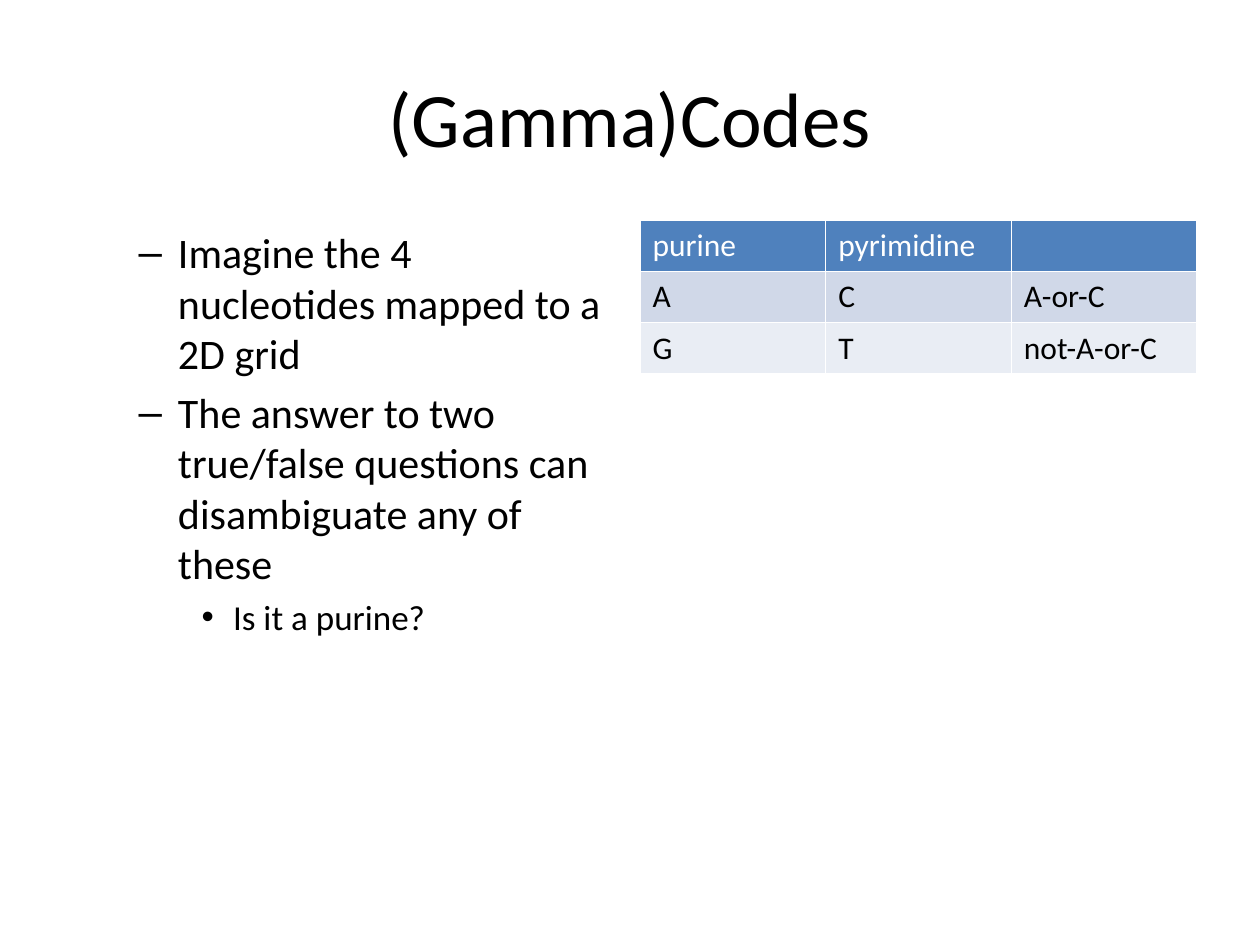
"""Build the (Gamma)Codes slide: a bulleted list beside a nucleotide table."""
import pptx
import pptx.dml.color
import pptx.enum.text
import pptx.util

BLACK = pptx.dml.color.RGBColor(0x00, 0x00, 0x00)
WHITE = pptx.dml.color.RGBColor(0xFF, 0xFF, 0xFF)
HEADER_BLUE = pptx.dml.color.RGBColor(0x4F, 0x81, 0xBD)
BAND_DARK = pptx.dml.color.RGBColor(0xD0, 0xD8, 0xE8)
BAND_LIGHT = pptx.dml.color.RGBColor(0xE9, 0xED, 0xF4)

deck = pptx.Presentation()
deck.slide_width = pptx.util.Inches(10)
deck.slide_height = pptx.util.Inches(7.5)
page = deck.slides.add_slide(deck.slide_layouts[1])

margin = pptx.util.Inches(0.5)
content_top = pptx.util.Inches(1.75)
column_width = pptx.util.Inches(4.42)
row_height = pptx.util.Inches(0.405)
right_column = deck.slide_width - margin - column_width


def write(para, text, size=18, color=BLACK, level=0, align=None):
    para.level = level
    para.alignment = align
    span = para.add_run()
    span.text = text
    span.font.name = "Calibri"
    span.font.size = pptx.util.Pt(size)
    span.font.bold = False
    span.font.color.rgb = color


def place(box, left, top, width, height):
    box.left, box.top, box.width, box.height = left, top, width, height


title = page.shapes.title
place(title, margin, pptx.util.Inches(0.3),
      deck.slide_width - 2 * margin, pptx.util.Inches(1.25))
title.text_frame.vertical_anchor = pptx.enum.text.MSO_ANCHOR.MIDDLE
write(title.text_frame.paragraphs[0], "(Gamma)Codes", size=44,
      align=pptx.enum.text.PP_ALIGN.CENTER)

body = page.placeholders[1]
place(body, margin, content_top, column_width, pptx.util.Inches(4.95))
bullets = [
    ("Imagine the 4 nucleotides mapped to a 2D grid", 1, 24),
    ("The answer to two true/false questions can disambiguate any of these", 1, 24),
    ("Is it a purine?", 2, 20),
]
for index, (text, level, size) in enumerate(bullets):
    frame = body.text_frame
    para = frame.add_paragraph() if index else frame.paragraphs[0]
    write(para, text, size=size, level=level)

rows = [
    (HEADER_BLUE, WHITE, ("purine", "pyrimidine", "")),
    (BAND_DARK, BLACK, ("A", "C", "A-or-C")),
    (BAND_LIGHT, BLACK, ("G", "T", "not-A-or-C")),
]
table = page.shapes.add_table(
    len(rows), 3, right_column, content_top, column_width, row_height * len(rows)).table
for row, (fill, color, texts) in zip(table.rows, rows):
    for cell, text in zip(row.cells, texts):
        cell.fill.solid()
        cell.fill.fore_color.rgb = fill
        if text:
            write(cell.text_frame.paragraphs[0], text, color=color)

deck.save("out.pptx")
